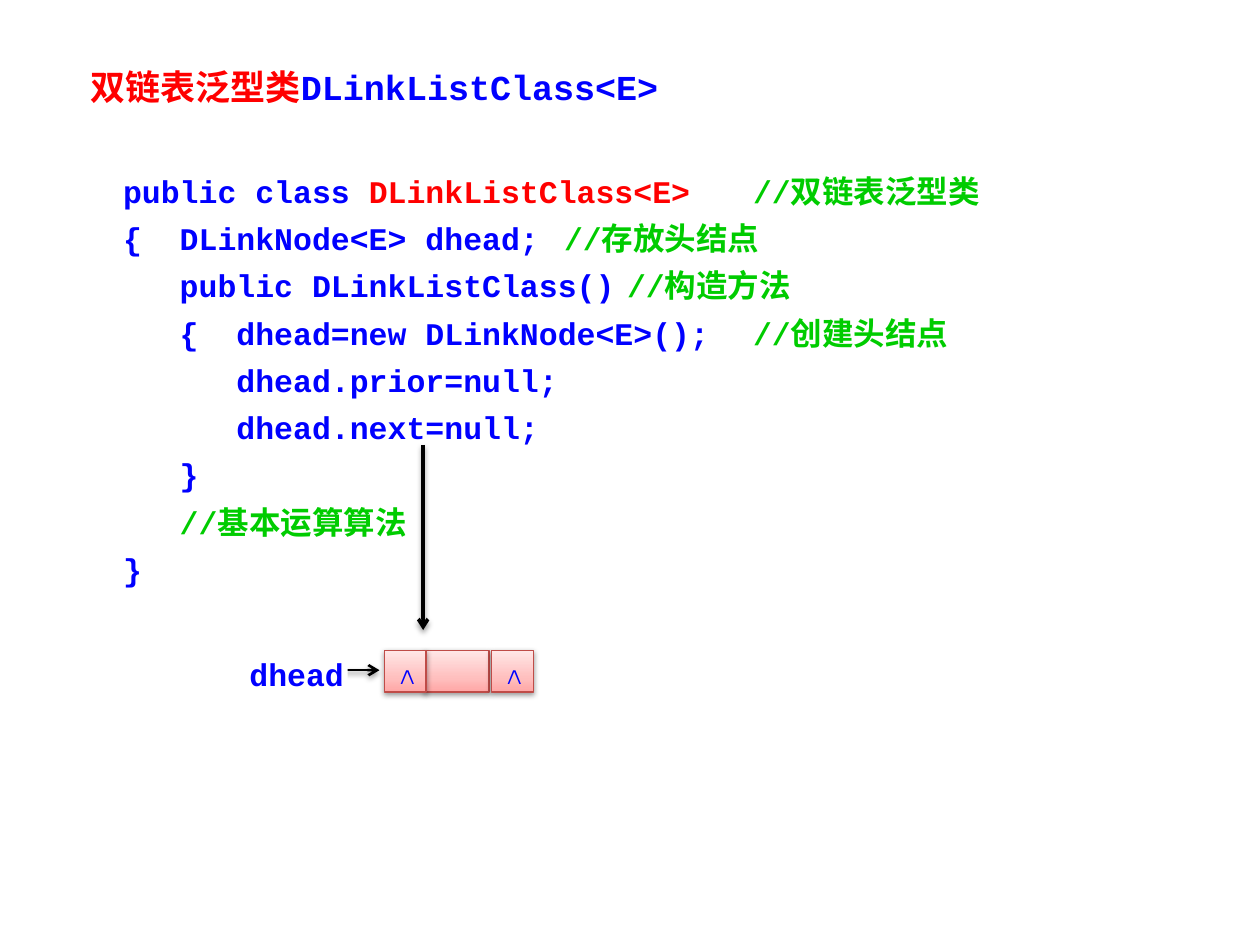
from dataclasses import dataclass

from lxml import etree
from pptx import Presentation
from pptx import util as u
from pptx.dml.color import RGBColor
from pptx.enum import shapes, text
from pptx.oxml import parse_xml
from pptx.oxml.ns import nsdecls, qn

FONT = "Courier New"
COLORS = {
    "code": "0000FF",
    "name": "FF0000",
    "comment": "00CC00",
    "arrow": "000000",
    "paper": "FFFFFF",
    "cell_line": "BF4C48",
}
CELL_GRADIENT = {0: "FFA6A5", 35: "FFC0BF", 100: "FFE7E7"}
CELL_TOP, CELL_SIDE = 13.11, 0.84


@dataclass
class Piece:
    content: str
    color: str = "code"


@dataclass
class NodeCell:
    left: float
    width: float
    label: str = ""


@dataclass
class Arrow:
    start: tuple[float, float]
    end: tuple[float, float]
    weight: float


TITLE = [Piece("双链表泛型类", "name"), Piece("DLinkListClass<E>")]
CODE = [
    [Piece("public class "), Piece("DLinkListClass<E>\t", "name"), Piece("//双链表泛型类", "comment")],
    [Piece("{  DLinkNode<E> dhead;\t"), Piece("//存放头结点", "comment")],
    [Piece("   public DLinkListClass()\t"), Piece("//构造方法", "comment")],
    [Piece("   {  dhead=new DLinkNode<E>();\t"), Piece("//创建头结点", "comment")],
    [Piece("      dhead.prior=null;")],
    [Piece("      dhead.next=null;")],
    [Piece("   }")],
    [Piece("   "), Piece("//基本运算算法", "comment")],
    [Piece("}")],
]
DATA_CELL = NodeCell(8.56, 1.3)
NEXT_CELL = NodeCell(9.91, CELL_SIDE, "∧")
PRIOR_CELL = NodeCell(7.75, CELL_SIDE, "∧")
CODE_ARROW = Arrow((8.53, 8.97), (8.53, 12.7), 2)
HEAD_ARROW = Arrow((6.86, 13.51), (7.65, 13.51), 1.5)


def rgb(name: str) -> RGBColor:
    return RGBColor.from_string(COLORS[name])


def place(shape, left: float, top: float, width: float, height: float) -> None:
    shape.left, shape.top = u.Cm(left), u.Cm(top)
    shape.width, shape.height = u.Cm(width), u.Cm(height)


def set_insets(frame, left: float, top: float, right: float, bottom: float) -> None:
    frame.margin_left, frame.margin_top = u.Cm(left), u.Cm(top)
    frame.margin_right, frame.margin_bottom = u.Cm(right), u.Cm(bottom)


def add_runs(paragraph, pieces: list[Piece], size: int) -> None:
    for piece in pieces:
        run = paragraph.add_run()
        run.text = piece.content
        run.font.name, run.font.size, run.font.bold = FONT, u.Pt(size), True
        run.font.color.rgb = rgb(piece.color)


def add_shadow(shape) -> None:
    """Give the shape a soft black shadow straight below it."""
    properties = shape._element.spPr
    for effects in properties.findall(qn("a:effectLst")):
        properties.remove(effects)
    properties.append(parse_xml(
        f'<a:effectLst {nsdecls("a")}><a:outerShdw blurRad="{u.Pt(3.1)}" dist="{u.Pt(1.6)}" '
        'dir="5400000" rotWithShape="0"><a:srgbClr val="000000"><a:alpha val="38000"/>'
        '</a:srgbClr></a:outerShdw></a:effectLst>'))


def format_code_paragraph(paragraph, tab: float) -> None:
    """Drop the bullet and line the comments up at one tab stop."""
    properties = paragraph._p.get_or_add_pPr()
    properties.set("marL", "0")
    properties.set("indent", "0")
    etree.SubElement(properties, qn("a:buNone"))
    tabs = etree.SubElement(properties, qn("a:tabLst"))
    etree.SubElement(tabs, qn("a:tab"), pos=str(u.Cm(tab)), algn="l")
    paragraph.line_spacing = u.Pt(27)
    paragraph.space_before = u.Pt(0)


def fill_title(title) -> None:
    place(title, 1.57, 1.19, 12.29, 1.12)
    frame = title.text_frame
    frame.auto_size = text.MSO_AUTO_SIZE.NONE
    paragraph = frame.paragraphs[0]
    paragraph.alignment = text.PP_ALIGN.LEFT
    add_runs(paragraph, TITLE, 20)


def fill_code(body) -> None:
    place(body, 1.98, 2.97, 21.92, 9.19)
    body.fill.solid()
    body.fill.fore_color.rgb = rgb("paper")
    frame = body.text_frame
    frame.auto_size = text.MSO_AUTO_SIZE.NONE
    set_insets(frame, 0.5, 0.3, 0.25, 0.3)
    for number, pieces in enumerate(CODE):
        paragraph = frame.add_paragraph() if number else frame.paragraphs[0]
        format_code_paragraph(paragraph, tab=12.7)
        add_runs(paragraph, pieces, 18)


def add_arrow(container, arrow: Arrow) -> None:
    ends = [u.Cm(value) for value in (*arrow.start, *arrow.end)]
    connector = container.add_connector(shapes.MSO_CONNECTOR.STRAIGHT, *ends)
    connector.line.color.rgb = rgb("arrow")
    connector.line.width = u.Pt(arrow.weight)
    etree.SubElement(connector.line._get_or_add_ln(), qn("a:tailEnd"), type="arrow")
    add_shadow(connector)


def add_rectangle(container, left: float, top: float, width: float, height: float):
    box = [u.Cm(value) for value in (left, top, width, height)]
    rectangle = container.add_shape(shapes.MSO_SHAPE.RECTANGLE, *box)
    rectangle.shadow.inherit = False
    return rectangle


def add_cell(container, cell: NodeCell) -> None:
    rectangle = add_rectangle(container, cell.left, CELL_TOP, cell.width, CELL_SIDE)
    rectangle.fill.gradient()
    rectangle.fill.gradient_angle = 90
    stops = rectangle._element.spPr.find(".//" + qn("a:gsLst"))
    for stop in list(stops):
        stops.remove(stop)
    for position, color in CELL_GRADIENT.items():
        stop = etree.SubElement(stops, qn("a:gs"), pos=str(position * 1000))
        etree.SubElement(stop, qn("a:srgbClr"), val=color)
    rectangle.line.color.rgb = rgb("cell_line")
    rectangle.line.width = u.Pt(0.75)
    add_shadow(rectangle)
    if cell.label:
        set_insets(rectangle.text_frame, 0.08, 0, 0, 0)
        paragraph = rectangle.text_frame.paragraphs[0]
        paragraph.alignment = text.PP_ALIGN.CENTER
        paragraph.line_spacing = u.Pt(23)
        add_runs(paragraph, [Piece(cell.label)], 18)


def add_head_label(container) -> None:
    label = add_rectangle(container, 4.95, 13.16, 2.06, CELL_SIDE)
    label.fill.solid()
    label.fill.fore_color.rgb = rgb("paper")
    label.line.fill.background()
    set_insets(label.text_frame, 0, 0, 0, 0)
    paragraph = label.text_frame.paragraphs[0]
    paragraph.alignment = text.PP_ALIGN.CENTER
    add_runs(paragraph, [Piece("dhead")], 18)


def main() -> None:
    presentation = Presentation()
    presentation.slide_width, presentation.slide_height = u.Cm(25.4), u.Cm(19.05)
    slide = presentation.slides.add_slide(presentation.slide_layouts[1])
    fill_title(slide.shapes.title)
    fill_code(slide.placeholders[1])
    add_arrow(slide.shapes, CODE_ARROW)
    head_node = slide.shapes.add_group_shape().shapes
    add_cell(head_node, DATA_CELL)
    add_cell(head_node, NEXT_CELL)
    add_arrow(head_node, HEAD_ARROW)
    add_head_label(head_node)
    add_cell(head_node, PRIOR_CELL)
    presentation.save("out.pptx")


if __name__ == "__main__":
    main()
